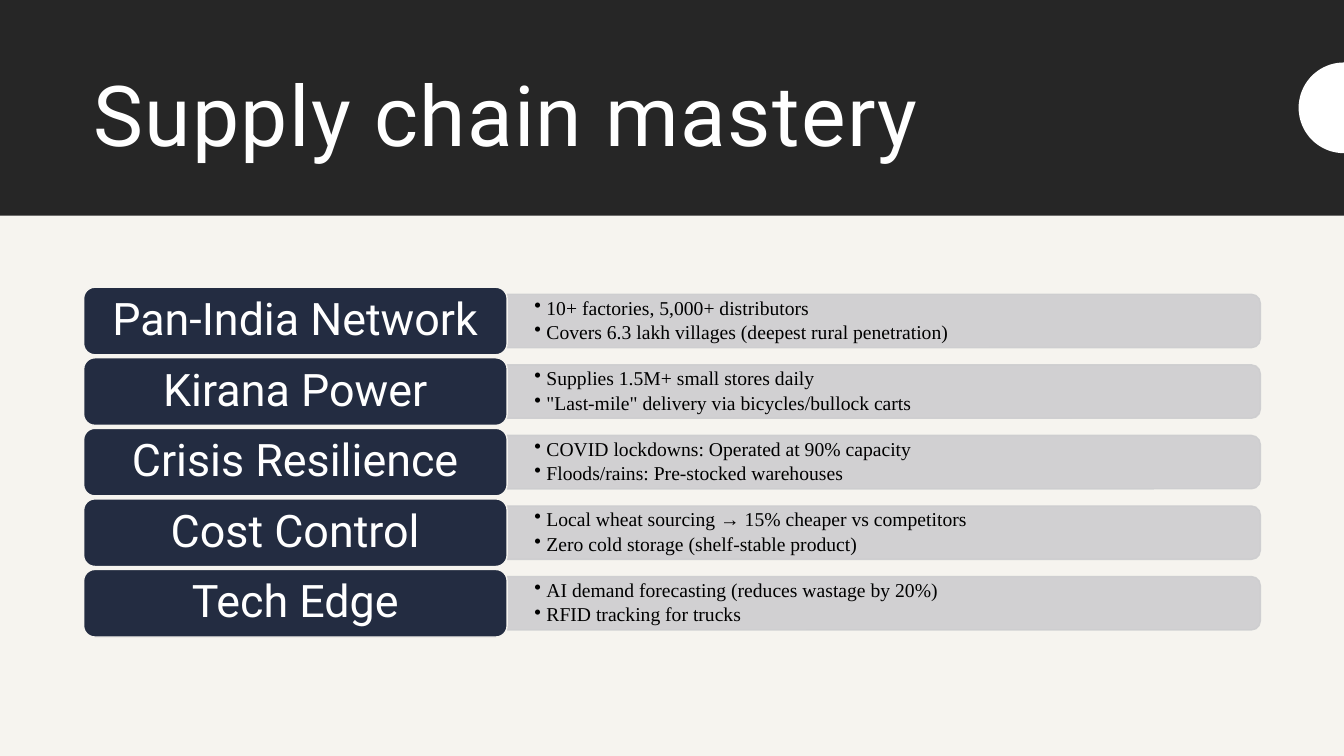
import math

import pptx
import pptx.dml.color
import pptx.enum.shapes
import pptx.enum.text
import pptx.oxml
import pptx.oxml.ns
import pptx.util

Inches = pptx.util.Inches
Pt = pptx.util.Pt
RGB = pptx.dml.color.RGBColor.from_string
MSO = pptx.enum.shapes.MSO_SHAPE
ALIGN = pptx.enum.text.PP_ALIGN

COLORS = {
    "paper": "F6F4EF",
    "band": "262626",
    "navy": "232C41",
    "panel": "CDCDCF",
    "white": "FFFFFF",
    "black": "000000",
}

ROWS = [
    ("Pan-India Network", [
        "10+ factories, 5,000+ distributors",
        "Covers 6.3 lakh villages (deepest rural penetration)"]),
    ("Kirana Power", [
        "Supplies 1.5M+ small stores daily",
        '"Last-mile" delivery via bicycles/bullock carts']),
    ("Crisis Resilience", [
        "COVID lockdowns: Operated at 90% capacity",
        "Floods/rains: Pre-stocked warehouses"]),
    ("Cost Control", [
        "Local wheat sourcing → 15% cheaper vs competitors",
        "Zero cold storage (shelf-stable product)"]),
    ("Tech Edge", [
        "AI demand forecasting (reduces wastage by 20%)",
        "RFID tracking for trucks"]),
]


def paint(shape, fill, line=None):
    """Give a shape a flat fill, an optional 1 pt line and no shadow."""
    shape.shadow.inherit = False
    shape.fill.solid()
    shape.fill.fore_color.rgb = RGB(COLORS[fill])
    if line:
        shape.line.color.rgb = RGB(COLORS[line])
        shape.line.width = Pt(1)
    else:
        shape.line.fill.background()


def write(shape, lines, font, size, color, align, inset):
    """Fill a shape with middle-anchored paragraphs in one style."""
    frame = shape.text_frame
    frame.word_wrap = True
    frame.vertical_anchor = pptx.enum.text.MSO_ANCHOR.MIDDLE
    frame.margin_left = frame.margin_right = Inches(inset)
    frame.margin_top = frame.margin_bottom = 0
    frame.text = "\n".join(lines)
    for para in frame.paragraphs:
        para.alignment = align
        para.line_spacing = 0.9
        for run in para.runs:
            run.font.name = font
            run.font.size = Pt(size)
            run.font.color.rgb = RGB(COLORS[color])
    return frame.paragraphs


deck = pptx.Presentation()
deck.slide_width = Inches(13.33)
deck.slide_height = Inches(7.5)
slide = deck.slides.add_slide(deck.slide_layouts[6])
slide.background.fill.solid()
slide.background.fill.fore_color.rgb = RGB(COLORS["paper"])
shapes = slide.shapes

# Header band, title and half disc on the right edge
band = shapes.add_shape(MSO.RECTANGLE, 0, 0, deck.slide_width, Inches(2.14))
paint(band, "band")

title = shapes.add_textbox(Inches(0.83), Inches(0.46), Inches(11.67), Inches(1.45))
heading = write(title, ["Supply chain mastery"], "Roboto", 60, "white", ALIGN.LEFT, 0.1)
heading[0].runs[0].font._element.set("spc", "100")

radius = 0.45
arc = []
for step in range(41):
    turn = math.pi * step / 40
    arc.append((Inches(13.33 - radius * math.sin(turn)),
                Inches(1.07 - radius * math.cos(turn))))
outline = shapes.build_freeform(*arc[0])
outline.add_line_segments(arc[1:], close=True)
paint(outline.convert_to_shape(), "white")

# One row per strength: a grey panel of bullets behind a navy label
left, split, top, pitch = 0.83, 5.03, 2.85, 0.7
label_h, panel_w, panel_h = 0.67, 7.47, 0.53
for row, (name, points) in enumerate(ROWS):
    y = top + row * pitch
    middle = y + label_h / 2

    # The panel stands upright and is turned so its round corners face right
    panel = shapes.add_shape(
        MSO.ROUND_2_SAME_RECTANGLE,
        Inches(split + (panel_w - panel_h) / 2), Inches(middle - panel_w / 2),
        Inches(panel_h), Inches(panel_w))
    panel.rotation = 90
    paint(panel, "panel", "panel")
    for color in panel._element.spPr.iter(pptx.oxml.ns.qn("a:srgbClr")):
        alpha = pptx.oxml.parse_xml(
            '<a:alpha %s val="90000"/>' % pptx.oxml.ns.nsdecls("a"))
        color.append(alpha)

    notes = shapes.add_textbox(
        Inches(split), Inches(middle - 0.24), Inches(7.44), Inches(0.48))
    for para in write(notes, points, "Times New Roman", 14, "black", ALIGN.LEFT, 0.27):
        para.space_after = Pt(2.5)
        props = para._element.get_or_add_pPr()
        props.set("marL", str(Inches(0.12)))
        props.set("indent", str(-Inches(0.12)))
        props.append(pptx.oxml.parse_xml(
            '<a:buChar %s char="•"/>' % pptx.oxml.ns.nsdecls("a")))

    label = shapes.add_shape(
        MSO.ROUNDED_RECTANGLE, Inches(left), Inches(y),
        Inches(split - left), Inches(label_h))
    paint(label, "navy", "paper")
    write(label, [name], "Roboto", 32, "white", ALIGN.CENTER, 0.13)

deck.save("out.pptx")
